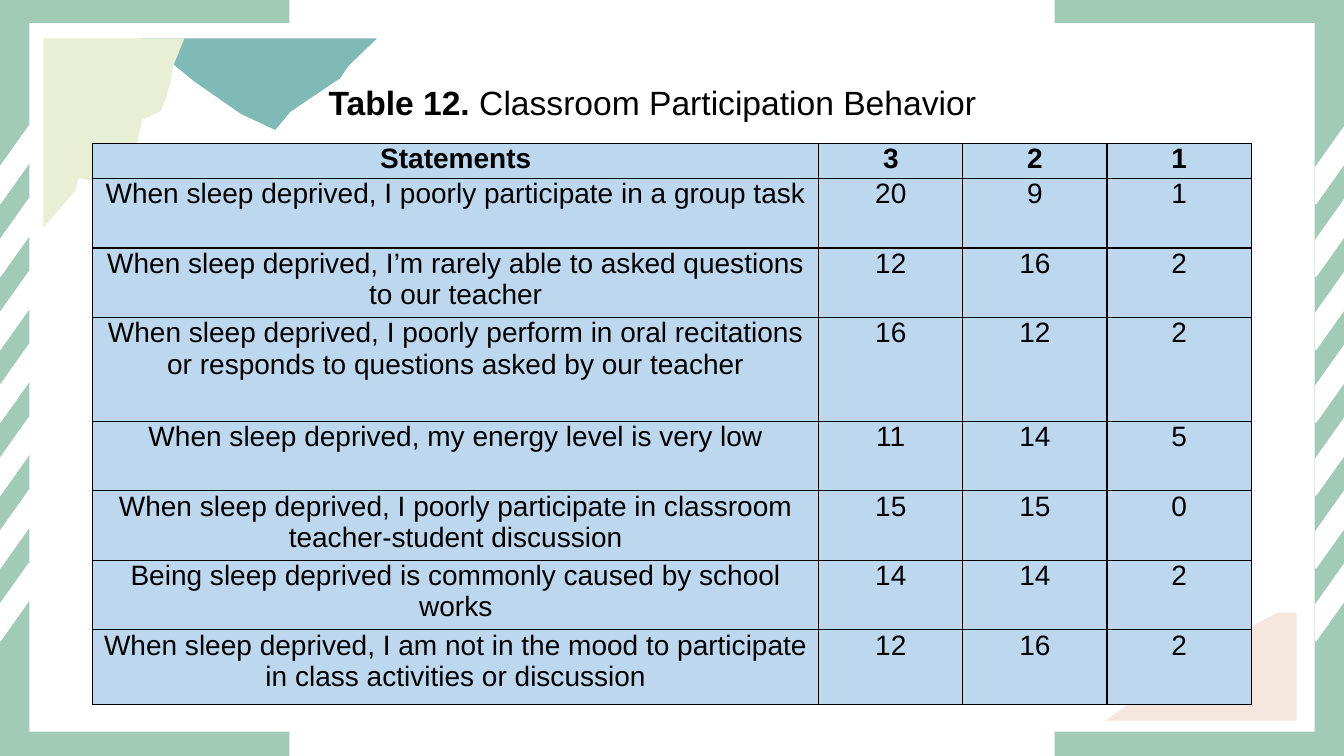
"""Build the classroom participation table slide with its paper-cut frame."""
from dataclasses import dataclass

from lxml.etree import SubElement
from pptx import Presentation
from pptx.dml.color import RGBColor
from pptx.enum.shapes import MSO_SHAPE as Shape
from pptx.enum.text import MSO_ANCHOR, MSO_AUTO_SIZE, PP_ALIGN
from pptx.oxml.ns import qn
from pptx.util import Inches, Pt

TITLE = [("Table 12. ", True), ("Classroom Participation Behavior", False)]
TABLE = [
    ("Statements", "3", "2", "1"),
    ("When sleep deprived, I poorly participate in a group task", "20", "9", "1"),
    ("When sleep deprived, I’m rarely able to asked questions to our teacher", "12", "16", "2"),
    ("When sleep deprived, I poorly perform in oral recitations or responds to "
     "questions asked by our teacher", "16", "12", "2"),
    ("When sleep deprived, my energy level is very low", "11", "14", "5"),
    ("When sleep deprived, I poorly participate in classroom teacher-student discussion",
     "15", "15", "0"),
    ("Being sleep deprived is commonly caused by school works", "14", "14", "2"),
    ("When sleep deprived, I am not in the mood to participate in class activities "
     "or discussion", "12", "16", "2"),
]


@dataclass(frozen=True)
class Theme:
    font: str = "Arial"
    title_size: int = 24
    cell_size: int = 20
    text: str = "000000"
    border: str = "080000"
    cell: str = "BDD7EE"
    frame: str = "A1CBB7"
    paper: str = "FFFFFF"
    peach: str = "F5E7DE"
    teal: str = "7FBAB6"
    cream: str = "E9EFD5"


T = Theme()
W, H = 13.33, 7.5
PANELS = [
    (0, 0, W, H, T.frame),
    (2.87, 0, 7.59, H, T.paper),
    (0.29, 0.23, 12.75, 7.03, T.paper),
]
STRIPE_W, STRIPE_H, STRIPE_SLANT = 0.77, 0.29, 1.409
STRIPE_LEFTS = (-0.24, 12.81)
STRIPE_TOP, STRIPE_STEP, STRIPE_COUNT = 1.49, 0.723, 7
SCRAP_UNITS = 100
SCRAPS = [
    (T.peach, [(1286, 608), (1267, 608), (1209, 638), (1096, 715), (1286, 715)]),
    (T.teal, [(140, 38), (374, 38), (346, 65), (337, 78), (322, 88), (288, 111),
              (273, 129), (239, 113), (193, 81)]),
    (T.cream, [(43, 38), (183, 38), (172, 65), (169, 83), (160, 110), (141, 119),
               (136, 142), (113, 159), (101, 180), (78, 177), (75, 189), (43, 226)]),
]
TITLE_BOX = (1.83, 0.76, 9.28, 0.66)
TABLE_LEFT, TABLE_TOP = 0.92, 1.42
COLS = [7.2] + [1.43] * 3
ROWS = [0.35, 0.69, 0.69, 1.03, 0.69, 0.69, 0.69, 0.74]


def paint(sp, color, outlined=False):
    sp.shadow.inherit = False
    sp.fill.solid()
    sp.fill.fore_color.rgb = RGBColor.from_string(color)
    if outlined:
        sp.line.color.rgb = RGBColor.from_string(color)
        sp.line.width = Pt(1)
    else:
        sp.line.fill.background()


def add_run(p, text, size, bold):
    r = p.add_run()
    r.text = text
    r.font.name = T.font
    r.font.size = Pt(size)
    r.font.bold = bold
    r.font.color.rgb = RGBColor.from_string(T.text)


def add_frame(s):
    for *box, color in PANELS:
        paint(s.shapes.add_shape(Shape.RECTANGLE, *map(Inches, box)), color)
    for left in STRIPE_LEFTS:
        for i in range(STRIPE_COUNT):
            box = (left, STRIPE_TOP + i * STRIPE_STEP, STRIPE_W, STRIPE_H)
            sp = s.shapes.add_shape(Shape.PARALLELOGRAM, *map(Inches, box))
            sp.adjustments[0] = STRIPE_SLANT
            sp.rotation = 270
            sp.element.spPr.find(qn("a:xfrm")).set("flipH", "1")
            paint(sp, T.paper, outlined=True)


def add_scraps(s):
    for color, points in SCRAPS:
        outline = s.shapes.build_freeform(*points[0], scale=Inches(1) / SCRAP_UNITS)
        outline.add_line_segments(points[1:], close=True)
        paint(outline.convert_to_shape(), color)


def add_borders(cell):
    tc_pr = cell._tc.get_or_add_tcPr()
    for side in ("a:lnL", "a:lnR", "a:lnT", "a:lnB"):
        ln = SubElement(tc_pr, qn(side), w=str(Pt(1)))
        fill = SubElement(ln, qn("a:solidFill"))
        SubElement(fill, qn("a:srgbClr"), val=T.border)


def add_scores(s):
    box = (TABLE_LEFT, TABLE_TOP, sum(COLS), sum(ROWS))
    table = s.shapes.add_table(len(ROWS), len(COLS), *map(Inches, box)).table
    for col, width in zip(table.columns, COLS):
        col.width = Inches(width)
    for i, (height, texts) in enumerate(zip(ROWS, TABLE)):
        table.rows[i].height = Inches(height)
        for j, text in enumerate(texts):
            cell = table.cell(i, j)
            add_borders(cell)
            cell.fill.solid()
            cell.fill.fore_color.rgb = RGBColor.from_string(T.cell)
            cell.margin_left = cell.margin_right = Inches(0.07)
            cell.margin_top = cell.margin_bottom = 0
            p = cell.text_frame.paragraphs[0]
            p.alignment = PP_ALIGN.CENTER
            add_run(p, text, T.cell_size, i == 0)


def add_title(s):
    sp = s.shapes.title
    sp.left, sp.top, sp.width, sp.height = map(Inches, TITLE_BOX)
    tf = sp.text_frame
    tf.word_wrap = True
    tf.auto_size = MSO_AUTO_SIZE.NONE
    tf.vertical_anchor = MSO_ANCHOR.TOP
    p = tf.paragraphs[0]
    p.alignment = PP_ALIGN.CENTER
    for text, bold in TITLE:
        add_run(p, text, T.title_size, bold)
    s.shapes.element.append(sp.element)


def main():
    prs = Presentation()
    prs.slide_width, prs.slide_height = Inches(W), Inches(H)
    s = prs.slides.add_slide(prs.slide_layouts[5])
    add_frame(s)
    add_scraps(s)
    add_scores(s)
    add_title(s)
    prs.save("out.pptx")


if __name__ == "__main__":
    main()
